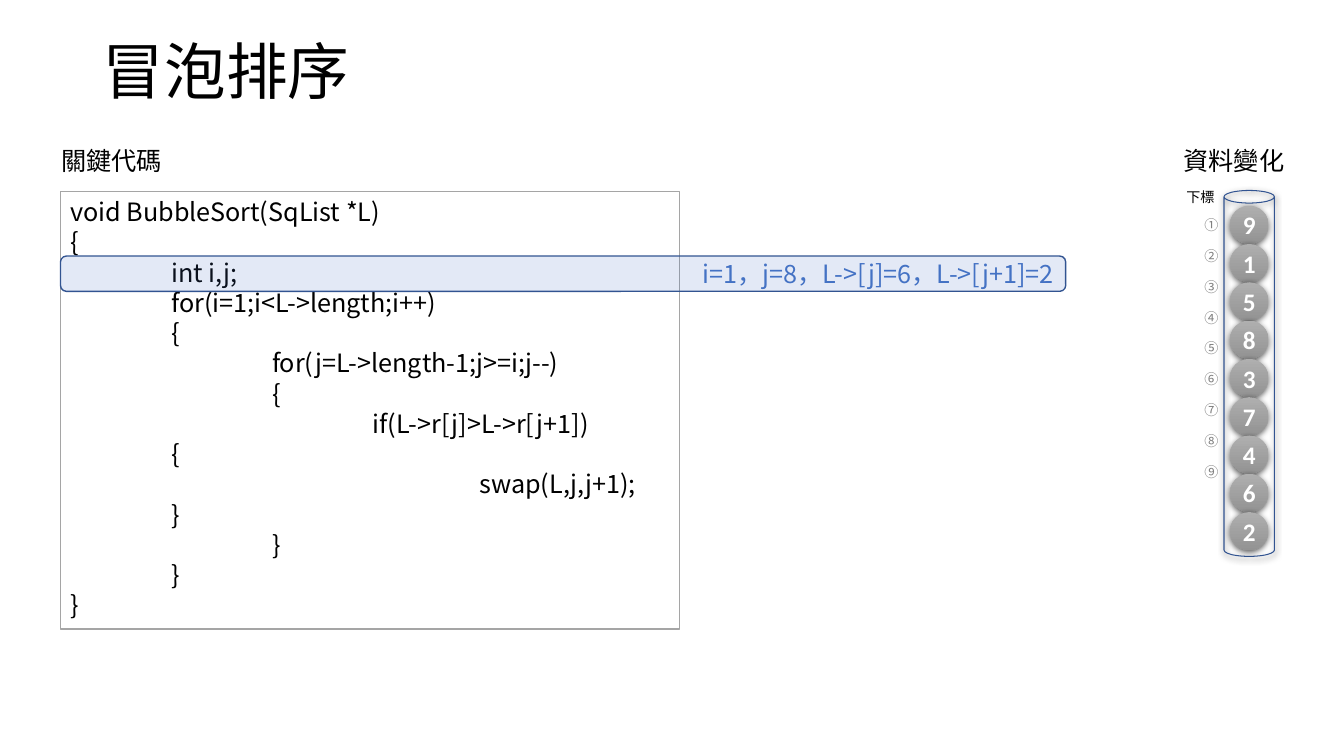
from lxml import etree
from pptx import Presentation
from pptx import util as u
from pptx.dml.color import RGBColor
from pptx.enum import shapes, text
from pptx.oxml import ns

CJK = "Noto Sans CJK SC"
BLACK, GREY, BLUE, NAVY = "000000", "A5A5A5", "4472C4", "325491"
LEFT, CENTER, RIGHT = text.PP_ALIGN.LEFT, text.PP_ALIGN.CENTER, text.PP_ALIGN.RIGHT
TOP, MIDDLE = text.MSO_ANCHOR.TOP, text.MSO_ANCHOR.MIDDLE
CODE = """void BubbleSort(SqList *L)
{
\tint i,j;
\tfor(i=1;i<L->length;i++)
\t{
\t\tfor(j=L->length-1;j>=i;j--)
\t\t{
\t\t\tif(L->r[j]>L->r[j+1])
\t{
\t\t\t\t swap(L,j,j+1);
\t}
\t\t}
\t}
}"""
STATE = "i=1，j=8，L->[j]=6，L->[j+1]=2"
VALUES = "915837462"
INDICES = "①②③④⑤⑥⑦⑧⑨"


def rgb(color):
    return RGBColor.from_string(color)


def inches(box):
    return [u.Inches(length) for length in box]


def add_xml(parent, tag, **attributes):
    return etree.SubElement(parent, ns.qn(tag), attributes)


def style(para, size, color, align=LEFT, face=CJK, bold=False):
    para.alignment = align
    font = para.font
    font.size, font.bold, font.name = u.Pt(size), bold, face
    font.color.rgb = rgb(color)
    add_xml(font._rPr, "a:ea", typeface=face)


def write(shape, lines, size, color, align=LEFT, face=CJK, bold=False,
          anchor=TOP, wrap=True, pitch=None, gap=0, tabs=0):
    frame = shape.text_frame
    frame.word_wrap, frame.vertical_anchor = wrap, anchor
    for number, line in enumerate(lines):
        para = frame.add_paragraph() if number else frame.paragraphs[0]
        para.text = line
        para.space_after = u.Pt(gap)
        if pitch:
            para.line_spacing = u.Pt(pitch)
        if tabs:
            stops = add_xml(para._p.get_or_add_pPr(), "a:tabLst")
            for stop in range(1, tabs + 1):
                add_xml(stops, "a:tab", pos=str(u.Inches(stop)), algn="l")
        style(para, size, color, align, face, bold)


def add_shape(page, kind, box, fill=None, line=None, width=1):
    shape = page.shapes.add_shape(kind, *inches(box))
    shape.shadow.inherit = False
    if fill:
        shape.fill.solid()
        shape.fill.fore_color.rgb = rgb(fill)
    else:
        shape.fill.background()
    if line:
        shape.line.color.rgb = rgb(line)
        shape.line.width = u.Pt(width)
    else:
        shape.line.fill.background()
    return shape


def add_label(page, box, lines, size, color, **options):
    write(page.shapes.add_textbox(*inches(box)), lines, size, color, **options)


def add_shadow(shape):
    effects = shape._element.spPr.find(ns.qn("a:effectLst"))
    shadow = add_xml(effects, "a:outerShdw", blurRad=str(u.Pt(4.5)), dist=str(u.Pt(1.5)),
                     dir="5400000", algn="ctr", rotWithShape="0")
    add_xml(add_xml(shadow, "a:srgbClr", val=BLACK), "a:alpha", val="63000")


def set_title(page, box):
    title = page.shapes.title
    title.left, title.top, title.width, title.height = inches(box)
    write(title, ["冒泡排序"], 44, BLACK, anchor=MIDDLE)
    title.text_frame.paragraphs[0].line_spacing = 0.9


def add_code(page, box):
    left, top, width, height = box
    add_label(page, (left - 0.09, top - 0.51, 1.25, 0.4), ["關鍵代碼"], 18, BLACK, wrap=False)
    listing = add_shape(page, shapes.MSO_SHAPE.RECTANGLE, box, "FFFFFF", GREY)
    write(listing, CODE.split("\n"), 18, BLACK, pitch=21.6, tabs=4)
    bar = add_shape(page, shapes.MSO_SHAPE.ROUNDED_RECTANGLE,
                    (left, top + 0.64, 9.97, 0.35), BLUE, NAVY)
    tint = bar._element.spPr.find(ns.qn("a:solidFill"))[0]
    add_xml(tint, "a:alpha", val="15000")
    write(bar, [STATE], 18, BLUE, align=RIGHT, anchor=MIDDLE)


def add_ball(page, box, value):
    ball = add_shape(page, shapes.MSO_SHAPE.OVAL, box)
    ball.fill.gradient()
    ball.fill.gradient_angle = 270
    for stop, color in zip(ball.fill.gradient_stops, ("AFAFAF", "939393")):
        stop.color.rgb = rgb(color)
    add_shadow(ball)
    frame = ball.text_frame
    frame.margin_left = frame.margin_right = frame.margin_top = frame.margin_bottom = 0
    write(ball, [value], 18, "FFFFFF", align=CENTER, face="Calibri", bold=True,
          anchor=MIDDLE, wrap=False)


def add_data(page, box):
    left, top, width, height = box
    add_label(page, (left - 0.5, top - 0.5, 1.21, 0.4), ["資料變化"], 18, BLACK, wrap=False)
    add_shadow(add_shape(page, shapes.MSO_SHAPE.CAN, box, line=NAVY, width=0.75))
    add_label(page, (left - 0.53, top - 0.07, 0.59, 0.27), ["下標"], 10, BLACK, align=CENTER)
    size, pitch = 0.38, 0.38
    for row, value in enumerate(VALUES):
        place = (left + (width - size) / 2, top + 0.15 + row * pitch, size, size)
        add_ball(page, place, value)
    add_label(page, (left - 0.31, top + 0.21, 0.37, 3.37), INDICES, 10, "808080",
              align=CENTER, gap=10)


def main():
    deck = Presentation()
    deck.slide_width, deck.slide_height = u.Inches(13.33), u.Inches(7.5)
    page = deck.slides.add_slide(deck.slide_layouts[5])
    set_title(page, (0.92, 0.01, 11.5, 1.45))
    add_code(page, (0.6, 1.9, 6.14, 4.34))
    add_data(page, (12.14, 1.89, 0.5, 3.63))
    deck.save("out.pptx")


if __name__ == "__main__":
    main()
